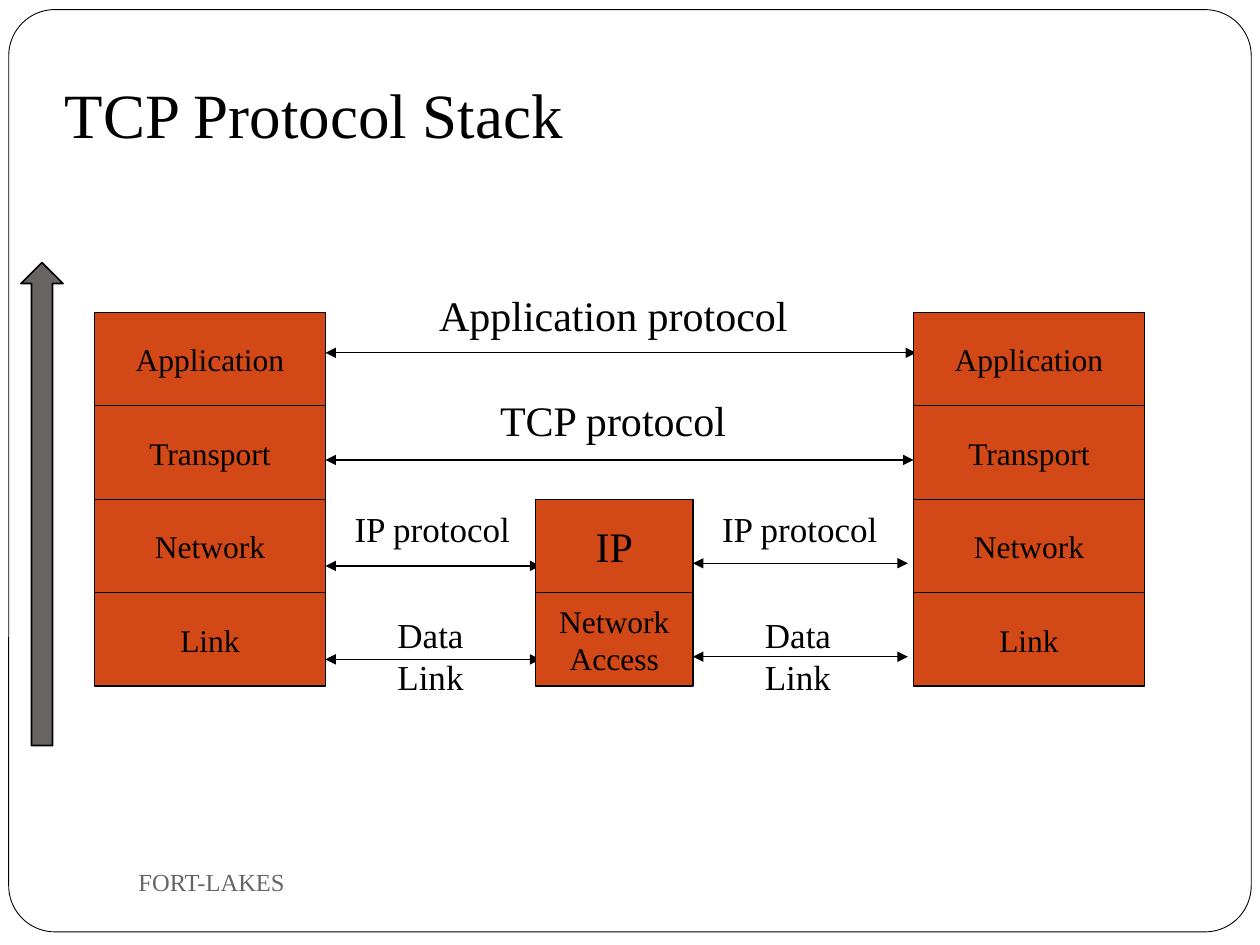
from lxml import etree
from pptx import Presentation
from pptx.dml.color import RGBColor
from pptx.enum.shapes import MSO_CONNECTOR, MSO_SHAPE
from pptx.enum.text import MSO_ANCHOR, PP_ALIGN
from pptx.oxml.ns import qn
from pptx.util import Pt

FONT = "Times New Roman"
BLACK, WHITE, ORANGE, GREY = "000000", "FFFFFF", "D34817", "696464"
STACK_TOP, ROW_H = 178.5, 53.4
STACK_W, ROUTER_W = 132, 90
LEFT_X, ROUTER_X, RIGHT_X = 54, 306, 522
LAYERS = [("Application", 18), ("Transport", 18), ("Network", 18), ("Link", 18)]
ROUTER_LAYERS = [("IP", 24), ("Network Access", 18)]


def rgb(value):
    return RGBColor.from_string(value)


def set_text(sp, text, size, color=BLACK, align=PP_ALIGN.CENTER, before=0.2, **frame):
    """Fill a shape with one paragraph; before is a share of the font size."""
    tf = sp.text_frame
    for name, value in frame.items():
        setattr(tf, name, value)
    p = tf.paragraphs[0]
    p.alignment = align
    p.space_before = Pt(size * before)
    r = p.add_run()
    r.text = text
    for name, value in {"name": FONT, "size": Pt(size)}.items():
        setattr(r.font, name, value)
    r.font.color.rgb = rgb(color)


def add_box(s, kind, box, fill, width):
    sp = s.shapes.add_shape(kind, *map(Pt, box))
    sp.shadow.inherit = False
    sp.fill.solid()
    sp.fill.fore_color.rgb = rgb(fill)
    sp.line.color.rgb = rgb(BLACK)
    sp.line.width = Pt(width)
    return sp


def add_label(s, box, text, size, **options):
    set_text(s.shapes.add_textbox(*map(Pt, box)), text, size, **options)


def add_double_arrow(s, x1, x2, y):
    line = s.shapes.add_connector(MSO_CONNECTOR.STRAIGHT, Pt(x1), Pt(y), Pt(x2), Pt(y))
    line.line.color.rgb = rgb(BLACK)
    line.line.width = Pt(0.75)
    ln = line.line._get_or_add_ln()
    for end in ("a:headEnd", "a:tailEnd"):
        etree.SubElement(ln, qn(end), type="triangle")
    etree.SubElement(line._element.spPr, qn("a:effectLst"))


def add_stack(s, x, y, w, layers):
    for i, (text, size) in enumerate(layers):
        sp = add_box(s, MSO_SHAPE.RECTANGLE, (x, y + i * ROW_H, w, ROW_H), ORANGE, 0.75)
        set_text(sp, text, size, word_wrap=" " in text, vertical_anchor=MSO_ANCHOR.MIDDLE)


def add_end_to_end_links(s, x):
    """Arrows and labels between the two hosts, starting at x."""
    add_double_arrow(s, x, 523.4, 201.6)
    add_label(s, (x + 53, 162, 223.2, 36), "Application protocol", 24, word_wrap=False)
    add_double_arrow(s, x, RIGHT_X, 262.8)
    add_label(s, (x + 89.8, 221.8, 149, 36), "TCP protocol", 24, word_wrap=False)


def add_hop_links(s, x, y, w):
    """Arrows and labels for one hop; y is the height of the IP arrow."""
    add_double_arrow(s, x, x + w, y)
    add_label(s, (x + 9.2, 286.6, 103.7, 31.7), "IP protocol", 20, word_wrap=False)
    add_double_arrow(s, x, x + w, y + ROW_H)
    add_label(s, (x + 30, 347, 60, 55.4), "Data Link", 20, word_wrap=True)


def add_frame(s, box):
    sp = add_box(s, MSO_SHAPE.ROUNDED_RECTANGLE, box, WHITE, 0.5)
    sp.adjustments[0] = 0.05


def main():
    prs = Presentation()
    prs.slide_width, prs.slide_height = Pt(720), Pt(540)
    s = prs.slides.add_slide(prs.slide_layouts[6])

    add_frame(s, (5, 5.5, 710, 527))
    add_label(s, (30, 36, 612, 57.6), "TCP Protocol Stack", 36, align=PP_ALIGN.LEFT,
              before=0, word_wrap=True, vertical_anchor=MSO_ANCHOR.BOTTOM,
              margin_bottom=Pt(7.2))

    add_stack(s, LEFT_X, STACK_TOP, STACK_W, LAYERS)
    add_end_to_end_links(s, LEFT_X + STACK_W)
    add_hop_links(s, LEFT_X + STACK_W, 323.4, 122.8)
    add_stack(s, ROUTER_X, STACK_TOP + 2 * ROW_H, ROUTER_W, ROUTER_LAYERS)
    add_hop_links(s, ROUTER_X + ROUTER_W, 321.9, 122.8)
    add_stack(s, RIGHT_X, STACK_TOP, STACK_W, LAYERS)

    add_box(s, MSO_SHAPE.UP_ARROW, (12, 150, 24, 276), GREY, 1)
    add_label(s, (72, 486, 312, 36), "FORT-LAKES", 14, color=GREY, align=PP_ALIGN.LEFT,
              before=0, word_wrap=True, vertical_anchor=MSO_ANCHOR.MIDDLE)
    prs.save("out.pptx")


if __name__ == "__main__":
    main()
